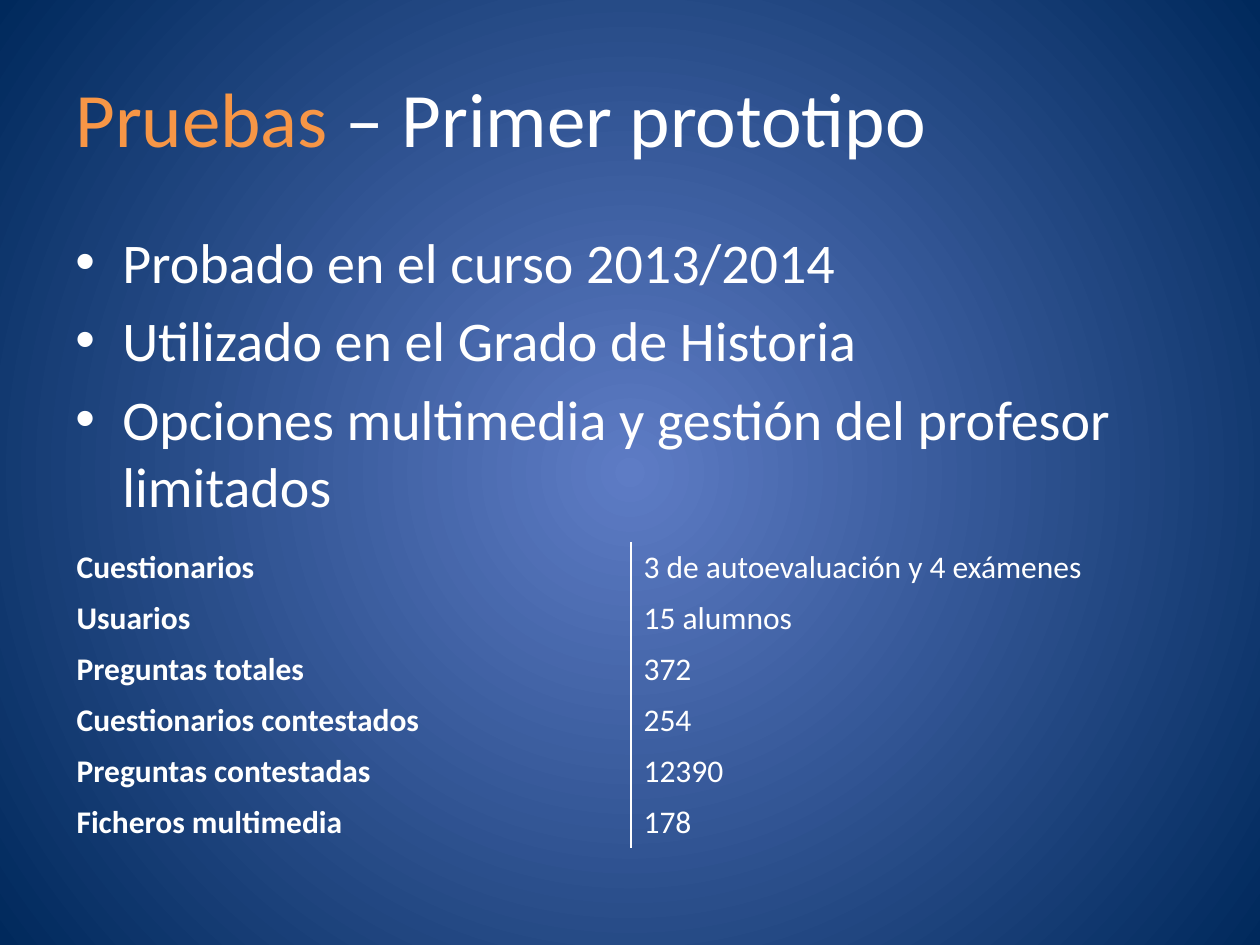
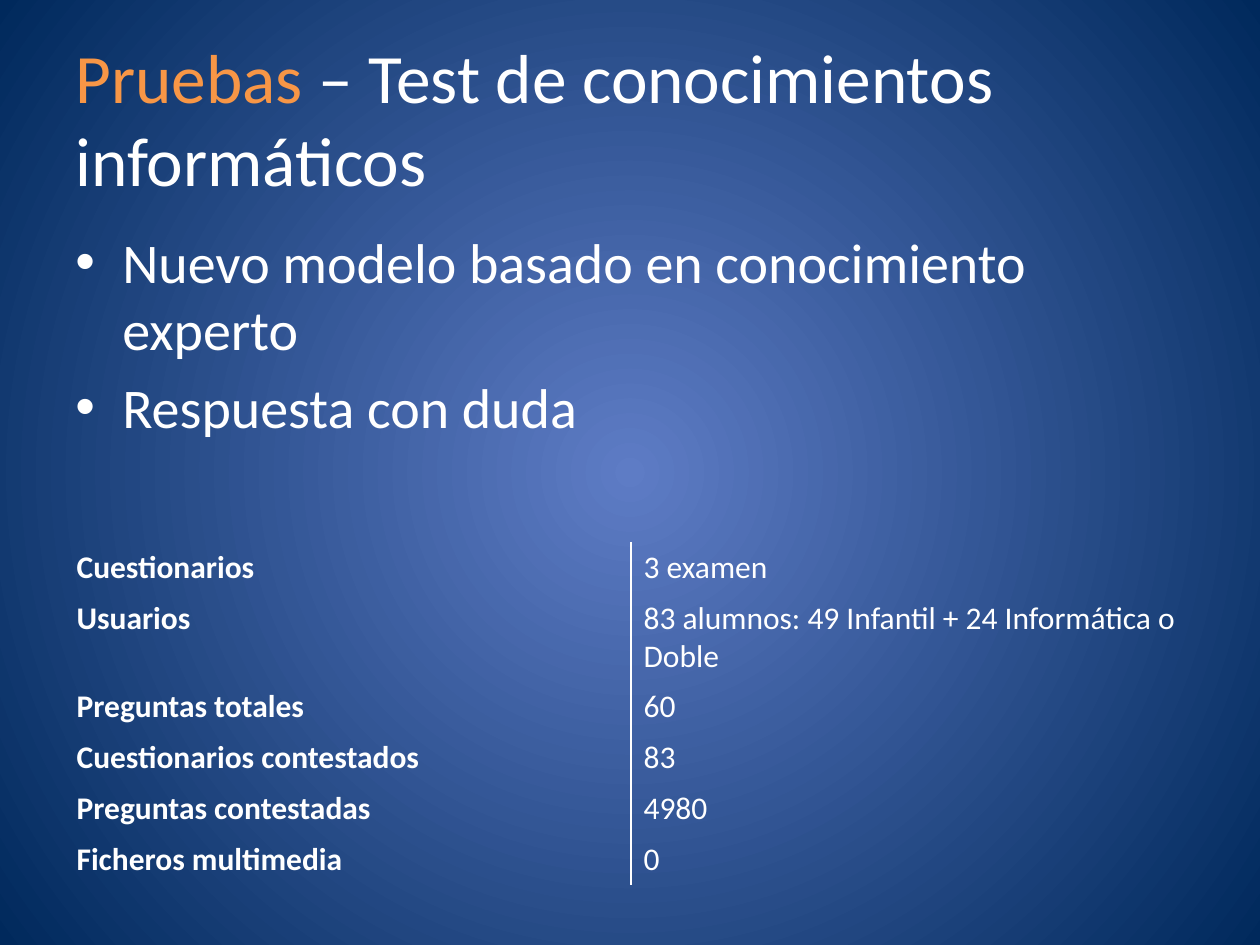
from lxml.etree import SubElement
from pptx import Presentation
from pptx.dml.color import RGBColor
from pptx.enum.text import MSO_ANCHOR
from pptx.oxml import parse_xml
from pptx.oxml.ns import nsdecls, qn
from pptx.util import Emu, Pt

PX = 914400 / 126
FONT = "Calibri"
COLORS = {"center": "5E7CC5", "edge": "00295C", "accent": "F79646", "text": "FFFFFF"}
NO_STYLE = "{2D5ABB26-0587-4C30-8999-92F81FD0307C}"
LEFT, WIDTH = 63, 1134
BULLET_INDENT = 47
TABLE_LEFT, TABLE_TOP, ROW_HEIGHT = 64, 542, 51

LABELS = ["Cuestionarios", "Usuarios", "Preguntas totales", "Cuestionarios contestados",
          "Preguntas contestadas", "Ficheros multimedia"]
SLIDES = [
    {
        "title": "Primer prototipo",
        "title_size": 44,
        "bullets": ["Probado en el curso 2013/2014",
                    "Utilizado en el Grado de Historia",
                    "Opciones multimedia y gestión del profesor limitados"],
        "values": ["3 de autoevaluación y 4 exámenes", "15 alumnos", "372", "254", "12390", "178"],
    },
    {
        "title": "Test de conocimientos informáticos",
        "title_size": 39.6,
        "bullets": ["Nuevo modelo basado en conocimiento experto",
                    "Respuesta con duda"],
        "values": ["3 examen", "83 alumnos: 49 Infantil + 24 Informática o Doble", "60", "83",
                   "4980", "0"],
    },
]


def px(n):
    return Emu(round(n * PX))


def add_text(p, text, size=18, color="text", bold=False, bullet=False):
    """Append a run to paragraph p, making p a bulleted item if asked."""
    r = p.add_run()
    r.text = text
    r.font.name = FONT
    r.font.size = Pt(size)
    r.font.bold = bold
    r.font.color.rgb = RGBColor.from_string(COLORS[color])
    if bullet:
        p.space_before = Pt(size * 0.2)
        pPr = p._p.get_or_add_pPr()
        pPr.set("marL", str(px(BULLET_INDENT)))
        pPr.set("indent", str(-px(BULLET_INDENT)))
        SubElement(pPr, qn("a:buFont"), typeface="Arial")
        SubElement(pPr, qn("a:buChar"), char="•")


prs = Presentation()
prs.slide_width, prs.slide_height = px(1260), px(945)

# Radial background, shared through the master
fill = prs.slide_master.background.fill
fill.gradient()
for stop, name, position in zip(fill.gradient_stops, ("center", "edge"), (0, 1)):
    stop.color.rgb = RGBColor.from_string(COLORS[name])
    stop.position = position
lin = next(prs.slide_master._element.iter(qn("a:lin")))
lin.getparent().replace(lin, parse_xml(
    f'<a:path {nsdecls("a")} path="circle">'
    '<a:fillToRect l="50000" t="50000" r="50000" b="50000"/></a:path>'))

for content in SLIDES:
    s = prs.slides.add_slide(prs.slide_layouts[6])

    # Title
    tf = s.shapes.add_textbox(px(LEFT), px(38), px(WIDTH), px(158)).text_frame
    tf.word_wrap = True
    tf.vertical_anchor = MSO_ANCHOR.MIDDLE
    p = tf.paragraphs[0]
    add_text(p, "Pruebas", size=content["title_size"], color="accent")
    add_text(p, f" – {content['title']}", size=content["title_size"])

    # Results table, with one rule between its two columns
    rows = list(zip(LABELS, content["values"]))
    table = s.shapes.add_table(len(rows), 2, px(TABLE_LEFT), px(TABLE_TOP), px(WIDTH),
                               px(ROW_HEIGHT * len(rows))).table
    table.first_row = table.horz_banding = False
    table._tbl.tblPr.find(qn("a:tableStyleId")).text = NO_STYLE
    for i, row in enumerate(rows):
        table.rows[i].height = px(ROW_HEIGHT)
        for j, (text, side) in enumerate(zip(row, ("lnR", "lnL"))):
            cell = table.cell(i, j)
            cell.fill.background()
            add_text(cell.text_frame.paragraphs[0], text, bold=j == 0)
            cell._tc.get_or_add_tcPr().insert(0, parse_xml(
                f'<a:{side} {nsdecls("a")} w="{Pt(1)}"><a:solidFill>'
                f'<a:srgbClr val="{COLORS["text"]}"/></a:solidFill></a:{side}>'))

    # Bullets
    tf = s.shapes.add_textbox(px(LEFT), px(221), px(WIDTH), px(282)).text_frame
    tf.word_wrap = True
    for i, text in enumerate(content["bullets"]):
        p = tf.add_paragraph() if i else tf.paragraphs[0]
        add_text(p, text, size=32, bullet=True)

prs.save("out.pptx")
